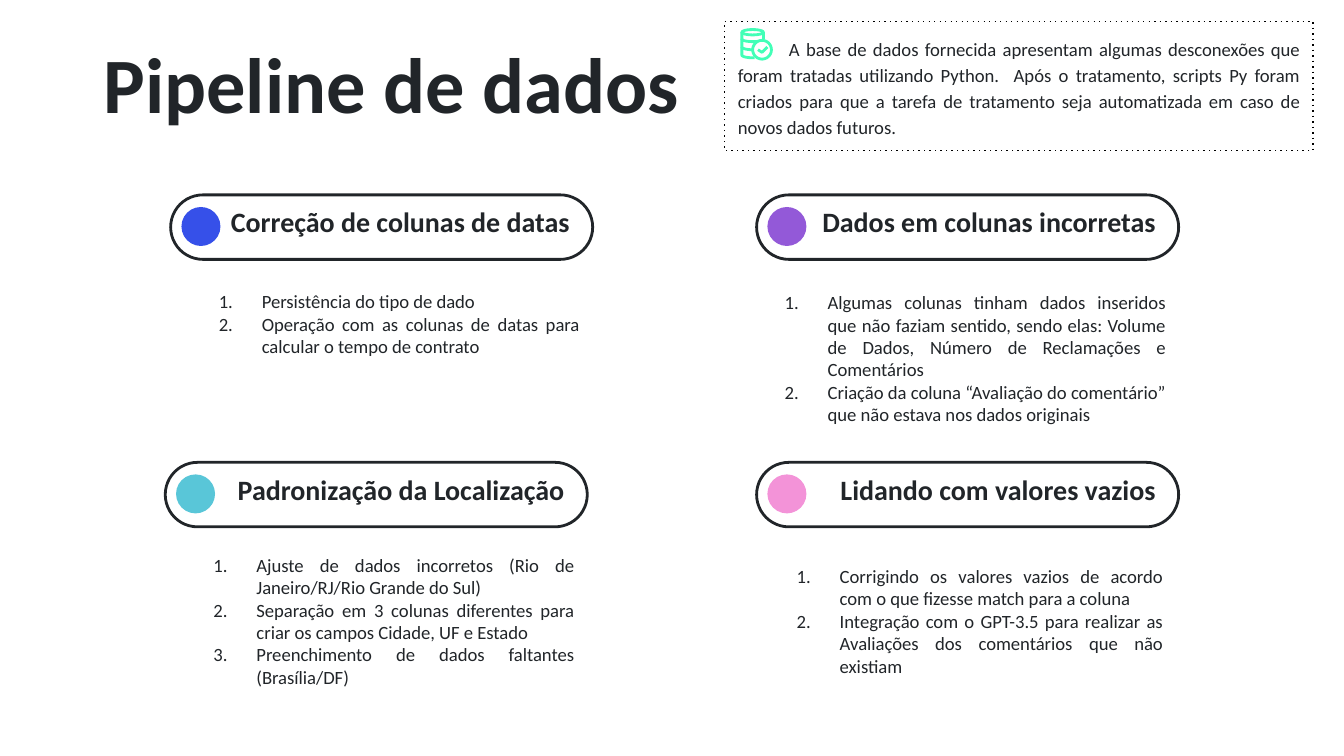
from math import cos, radians, sin

from lxml import etree
from pptx import Presentation
from pptx.dml.color import RGBColor
from pptx.enum.dml import MSO_LINE
from pptx.enum.shapes import MSO_SHAPE
from pptx.enum.text import MSO_ANCHOR, MSO_AUTO_SIZE, PP_ALIGN
from pptx.oxml.ns import qn
from pptx.util import Inches, Pt

ROUNDED, OVAL = MSO_SHAPE.ROUNDED_RECTANGLE, MSO_SHAPE.OVAL
LEFT, RIGHT, JUSTIFY = PP_ALIGN.LEFT, PP_ALIGN.RIGHT, PP_ALIGN.JUSTIFY
TOP, MIDDLE = MSO_ANCHOR.TOP, MSO_ANCHOR.MIDDLE

FONT = "Calibri"
COLORS = {
    "ink": "212529", "black": "000000", "icon": "42FFB7",
    "blue": "3650E9", "teal": "59C6D8", "purple": "9359D8", "pink": "F393D8",
}

TITLE = "Pipeline de dados"
INTRO = (
    "A base de dados fornecida apresentam algumas desconexões que foram "
    "tratadas utilizando Python.  Após o tratamento, scripts Py foram criados "
    "para que a tarefa de tratamento seja automatizada em caso de novos dados "
    "futuros."
)

# Heading, dot colour, heading position, list box, list items
STEPS = [
    ("Correção de colunas de datas", "blue", (1.27, 1.45),
     (1.35, 2.08, 3.06, 0.66),
     ["Persistência do tipo de dado",
      "Operação com as colunas de datas para calcular o tempo de contrato"]),
    ("Dados em colunas incorretas", "purple", (5.63, 1.45),
     (5.56, 2.07, 3.21, 1.19),
     ["Algumas colunas tinham dados inseridos que não faziam sentido, sendo "
      "elas: Volume de Dados, Número de Reclamações e Comentários",
      "Criação da coluna “Avaliação do comentário” que não estava nos dados "
      "originais"]),
    ("Padronização da Localização", "teal", (1.23, 3.44),
     (1.31, 3.95, 3.06, 1.34),
     ["Ajuste de dados incorretos (Rio de Janeiro/RJ/Rio Grande do Sul)",
      "Separação em 3 colunas diferentes para criar os campos Cidade, UF e "
      "Estado",
      "Preenchimento de dados faltantes (Brasília/DF)"]),
    ("Lidando com valores vazios", "pink", (5.63, 3.44),
     (5.65, 3.95, 3.1, 1.34),
     ["Corrigindo os valores vazios de acordo com o que fizesse match para a "
      "coluna",
      "Integração com o GPT-3.5 para realizar as Avaliações dos comentários "
      "que não existiam"]),
]


def rgb(name):
    return RGBColor.from_string(COLORS[name])


def place(sp, box):
    sp.left, sp.top, sp.width, sp.height = map(Inches, box)


def style(sp, fill=None, line=None, width=1.5):
    if fill:
        sp.fill.solid()
        sp.fill.fore_color.rgb = rgb(fill)
    else:
        sp.fill.background()
    if line:
        sp.line.color.rgb = rgb(line)
        sp.line.width = Pt(width)
    else:
        sp.line.fill.background()


def write(sp, text, size, align, anchor, bold=False, top_inset=0.1):
    tf = sp.text_frame
    tf.text = text
    tf.word_wrap = True
    tf.auto_size = MSO_AUTO_SIZE.NONE
    tf.vertical_anchor = anchor
    tf.margin_left = tf.margin_right = tf.margin_bottom = Inches(0.1)
    tf.margin_top = Inches(top_inset)
    for p in tf.paragraphs:
        p.alignment = align
        for r in p.runs:
            r.font.name = FONT
            r.font.size = Pt(size)
            r.font.bold = bold
            r.font.color.rgb = rgb("ink")
    return tf


def indent(p, left, first):
    pPr = p._p.get_or_add_pPr()
    pPr.set("marL", str(Inches(left)))
    pPr.set("indent", str(Inches(first)))
    return pPr


def add_shape(s, kind, box, **look):
    sp = s.shapes.add_shape(kind, *map(Inches, box))
    sp.shadow.inherit = False
    style(sp, **look)
    return sp


def arc(cx, cy, rx, ry, start, end, steps=24):
    angles = [radians(start + (end - start) * i / steps)
              for i in range(steps + 1)]
    return [(cx + rx * cos(a), cy + ry * sin(a)) for a in angles]


def add_strokes(s, strokes):
    scale = 10000
    paths = [[(round(x * scale), round(y * scale)) for x, y in stroke]
             for stroke in strokes]
    builder = s.shapes.build_freeform(*paths[0][0], scale=Inches(1) / scale)
    for path in paths:
        builder.move_to(*path[0])
        builder.add_line_segments(path[1:], close=False)
    sp = builder.convert_to_shape()
    sp.shadow.inherit = False
    style(sp, line="icon")


def add_heading(s, text, color, left, top):
    sp = add_shape(s, ROUNDED, (left, top, 3.14, 0.48), line="ink")
    sp.adjustments[0] = 0.5
    write(sp, text, 15, RIGHT, MIDDLE, bold=True, top_inset=0.02)
    add_shape(s, OVAL, (left + 0.08, top + 0.09, 0.29, 0.29), fill=color)


def add_numbered_list(s, items, box):
    sp = s.shapes.add_textbox(*map(Inches, box))
    tf = write(sp, "\n".join(items), 10, JUSTIFY, MIDDLE)
    for p in tf.paragraphs:
        pPr = indent(p, 0.5, -0.32)
        clr = etree.SubElement(pPr, qn("a:buClr"))
        etree.SubElement(clr, qn("a:srgbClr"), val=COLORS["ink"])
        etree.SubElement(pPr, qn("a:buFont"), typeface=FONT)
        etree.SubElement(pPr, qn("a:buAutoNum"), type="arabicPeriod")


def fill_intro(sp):
    place(sp, (5.39, 0.16, 4.38, 0.96))
    style(sp, line="black", width=0.75)
    sp.line.dash_style = MSO_LINE.ROUND_DOT
    for dash in sp._element.iter(qn("a:prstDash")):
        dash.set("val", "dot")
    p = write(sp, INTRO, 10, JUSTIFY, TOP).paragraphs[0]
    p.line_spacing = 1.15
    p.space_before, p.space_after = Pt(0), Pt(12)
    # The first line leaves room for the icon
    etree.SubElement(indent(p, 0, 0.38), qn("a:buNone"))


def add_database_icon(s):
    cx, rx, ry = 5.6, 0.08, 0.02
    add_strokes(s, [
        arc(cx, 0.24, rx, ry, 0, 360),
        [(cx - rx, 0.24)] + arc(cx, 0.41, rx, ry, 180, 80),
        [(cx + rx, 0.24), (cx + rx, 0.29)],
        arc(cx, 0.29, rx, ry, 180, 60),
        arc(cx, 0.35, rx, ry, 180, 90),
        arc(5.67, 0.37, 0.07, 0.07, 0, 360),
    ])
    # Check mark in the badge
    add_strokes(s, [[(5.64, 0.37), (5.67, 0.39), (5.71, 0.35)]])


def main():
    prs = Presentation()
    prs.slide_width = Inches(10)
    prs.slide_height = prs.slide_width * 9 // 16
    s = prs.slides.add_slide(prs.slide_layouts[1])

    # Title and introduction
    title, intro = s.placeholders
    place(title, (0.67, 0.16, 4.62, 0.78))
    write(title, TITLE, 42, LEFT, TOP, bold=True)
    fill_intro(intro)
    add_database_icon(s)

    # Four treatment steps
    for heading, color, position, box, items in STEPS:
        add_heading(s, heading, color, *position)
        add_numbered_list(s, items, box)

    prs.save("out.pptx")


if __name__ == "__main__":
    main()
